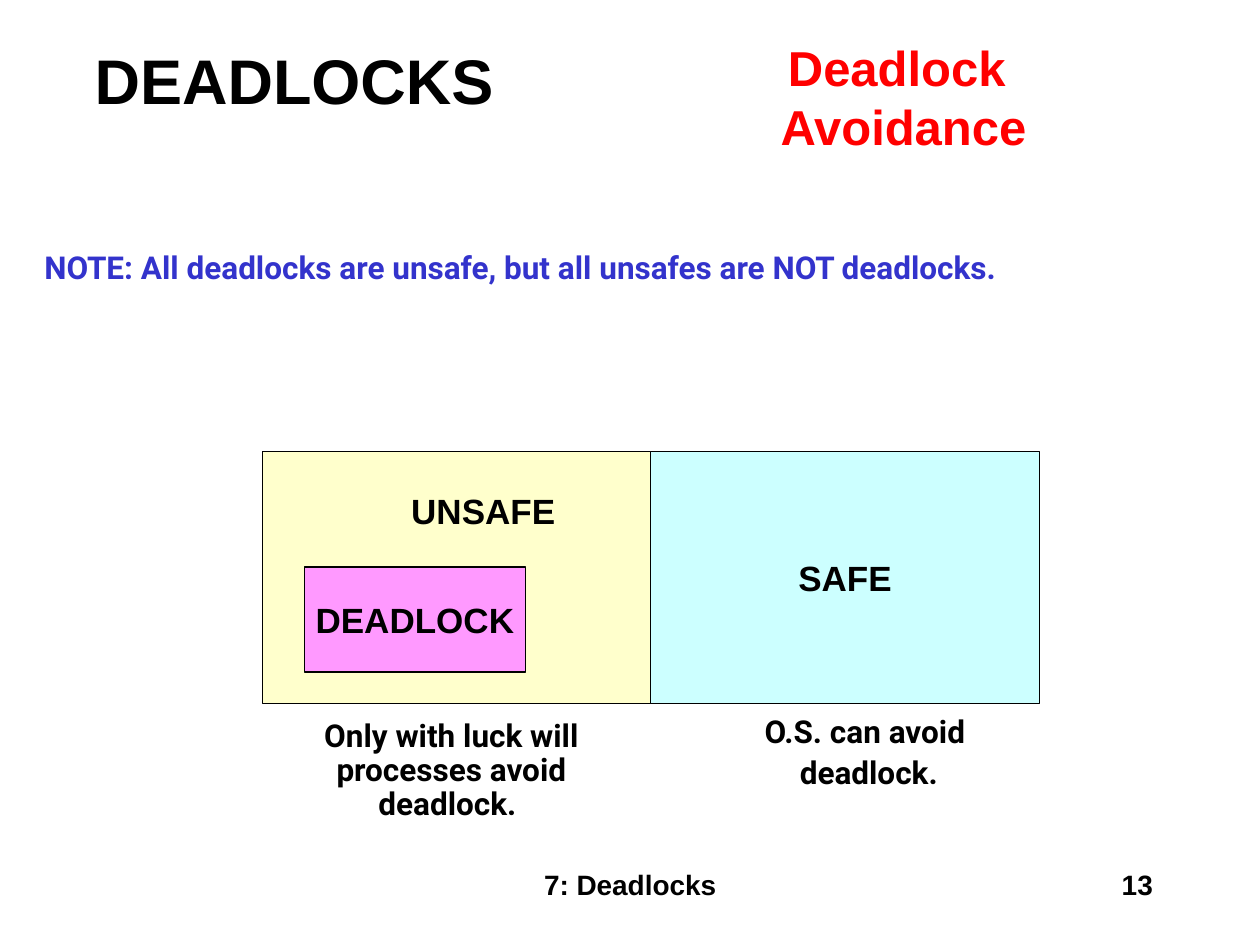
from lxml.etree import SubElement
from pptx import Presentation
from pptx.dml.color import RGBColor
from pptx.enum.shapes import MSO_SHAPE as SHAPE
from pptx.enum.text import MSO_ANCHOR as ANCHOR, MSO_AUTO_SIZE as FIT, PP_ALIGN as ALIGN
from pptx.oxml.ns import qn
from pptx.util import Cm, Pt

BLACK = RGBColor(0x00, 0x00, 0x00)
RED = RGBColor(0xFF, 0x00, 0x00)
BLUE = RGBColor(0x33, 0x33, 0xCC)
CYAN = RGBColor(0xCC, 0xFF, 0xFF)
CREAM = RGBColor(0xFF, 0xFF, 0xCC)
PINK = RGBColor(0xFF, 0x99, 0xFF)

CAPTION = {"size": 18, "name": "Roboto"}
CAPTION_PARA = {"line_spacing": 0.9, "space_before": Pt(3.6)}


def write(sp, lines, size=20, name="Arial", color=BLACK, align=ALIGN.CENTER,
          para=None, **frame):
    """Fill a shape with bold paragraphs in the given format."""
    tf = sp.text_frame
    for key, value in {"word_wrap": True, "auto_size": FIT.NONE, **frame}.items():
        setattr(tf, key, value)
    for i, line in enumerate(lines):
        p = tf.add_paragraph() if i else tf.paragraphs[0]
        for key, value in {"alignment": align, **(para or {})}.items():
            setattr(p, key, value)
        r = p.add_run()
        r.text = line
        for key, value in {"size": Pt(size), "name": name, "bold": True}.items():
            setattr(r.font, key, value)
        r.font.color.rgb = color


def place(sp, x, y, w, h):
    """Put a shape in a box given in centimetres."""
    sp.left, sp.top, sp.width, sp.height = map(Cm, (x, y, w, h))


def add_text(s, box, lines, **fmt):
    """Add a text box with its lines."""
    write(s.shapes.add_textbox(*map(Cm, box)), lines, **fmt)


def add_area(s, box, fill, label=None):
    """Add an outlined rectangle, with a centred label if one is given."""
    sp = s.shapes.add_shape(SHAPE.RECTANGLE, *map(Cm, box))
    sp.shadow.inherit = False
    sp.fill.solid()
    sp.fill.fore_color.rgb = fill
    sp.line.color.rgb = BLACK
    sp.line.width = Pt(0.75)
    if label:
        write(sp, [label], word_wrap=False, vertical_anchor=ANCHOR.MIDDLE)


def add_heading(s, x, y):
    """Place the chapter title and the topic beside it."""
    place(s.shapes.title, x, y, 10.16, 1.9)
    write(s.shapes.title, ["DEADLOCKS"], size=36, vertical_anchor=ANCHOR.MIDDLE)
    add_text(s, (x + 11.65, y, 11.43, 2.62), ["Deadlock ", "Avoidance"],
             size=28, color=RED)


def add_note(s, x, y, w, h):
    """Write the note in the body placeholder, without a bullet."""
    body = s.placeholders[1]
    place(body, x, y, w, h)
    write(body, ["NOTE: All deadlocks are unsafe, but all unsafes are NOT deadlocks."],
          color=BLUE, align=ALIGN.JUSTIFY, para={"space_before": Pt(3.6)}, **CAPTION)
    pPr = body.text_frame.paragraphs[0]._p.get_or_add_pPr()
    pPr.set("marL", "0")
    pPr.set("indent", "0")
    SubElement(pPr, qn("a:buNone"))


def add_states(s, x, y, w, h):
    """Draw the unsafe and safe halves, the deadlock area and the captions."""
    half = w / 2
    add_area(s, (x + half, y, half, h), CYAN, "SAFE")
    add_area(s, (x, y, half, h), CREAM)
    add_area(s, (x + 0.85, y + 2.33, 4.45, 2.12), PINK, "DEADLOCK")
    add_text(s, (x + 2.75, y + 0.64, 3.43, 1.1), ["UNSAFE"],
             align=ALIGN.LEFT, word_wrap=False)
    add_text(s, (x, y + h + 0.21, 7.62, 2.31),
             ["Only with luck will processes avoid deadlock. "],
             para=CAPTION_PARA, **CAPTION)
    add_text(s, (x + 9.7, y + h + 0.14, 5.05, 1.78), ["O.S. can avoid ", "deadlock."],
             para=CAPTION_PARA, word_wrap=False, **CAPTION)


def add_footer(s, y, h):
    """Write the chapter name and the page number."""
    add_text(s, (8.68, y, 8.05, h), ["7: Deadlocks"], size=16)
    add_text(s, (18.2, y, 5.29, h), ["13"], size=16, align=ALIGN.RIGHT)


def main():
    """Build and save the slide."""
    prs = Presentation()
    prs.slide_width, prs.slide_height = Cm(25.4), Cm(19.05)
    s = prs.slides.add_slide(prs.slide_layouts[1])
    add_footer(s, 17.36, 1.27)
    add_note(s, 0.64, 4.87, 23.92, 1.27)
    add_states(s, 5.29, 9.1, 15.66, 5.08)
    add_heading(s, 0.85, 0.64)
    prs.save("out.pptx")


if __name__ == "__main__":
    main()
